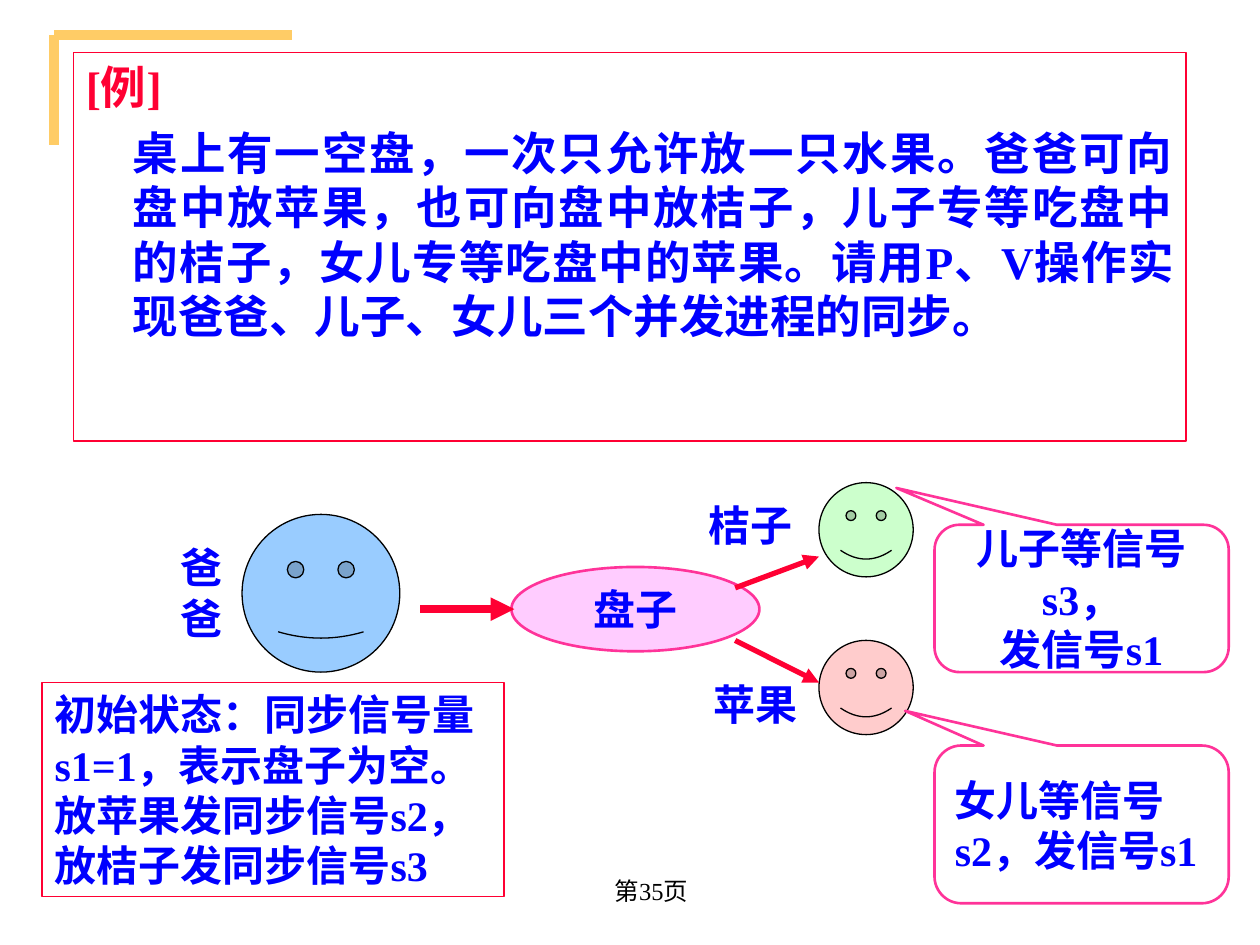
from dataclasses import dataclass
from typing import Optional

from lxml.etree import SubElement
from pptx import Presentation
from pptx.dml.color import RGBColor
from pptx.enum.lang import MSO_LANGUAGE_ID
from pptx.enum.shapes import MSO_CONNECTOR, MSO_SHAPE
from pptx.enum.text import MSO_ANCHOR, PP_ALIGN
from pptx.oxml.ns import qn
from pptx.util import Cm, Pt


@dataclass(frozen=True)
class Theme:
    font: str = "Times New Roman"
    blue: str = "0000FF"
    red: str = "FF0033"
    pink: str = "FF3399"
    plate: str = "FFCCFF"
    gold: str = "FFCC66"
    black: str = "000000"
    white: str = "FFFFFF"
    father: str = "99CCFF"
    son: str = "CCFFCC"
    daughter: str = "FFCCCC"
    problem: float = 26
    label: float = 24
    footer: float = 14


T = Theme()


@dataclass(frozen=True)
class Para:
    text: str
    color: str = T.blue
    size: float = T.label
    bold: bool = True
    align: PP_ALIGN = PP_ALIGN.CENTER
    indent: float = 0
    before: float = 0


@dataclass(frozen=True)
class Box:
    at: tuple[float, float, float, float]
    paras: tuple[Para, ...] = ()
    kind: Optional[MSO_SHAPE] = None
    fill: Optional[str] = None
    line: str = T.black
    width: float = 0.75
    adj: tuple[float, ...] = ()
    anchor: MSO_ANCHOR = MSO_ANCHOR.TOP
    wrap: bool = True


@dataclass(frozen=True)
class Line:
    start: tuple[float, float]
    end: tuple[float, float]
    color: str
    width: float
    arrow: bool = False


def write(sp, box: Box) -> None:
    tf = sp.text_frame
    tf.word_wrap = box.wrap
    tf.vertical_anchor = box.anchor
    for i, para in enumerate(box.paras):
        p = tf.paragraphs[0] if i == 0 else tf.add_paragraph()
        p.alignment = para.align
        if para.before:
            p.space_before = Pt(para.before)
        if para.indent:
            p._p.get_or_add_pPr().set("marL", str(Cm(para.indent)))
        r = p.add_run()
        r.text = para.text
        r.font.name = T.font
        r.font.size = Pt(para.size)
        r.font.bold = para.bold
        r.font.color.rgb = RGBColor.from_string(para.color)
        r.font.language_id = MSO_LANGUAGE_ID.SIMPLIFIED_CHINESE


def draw_box(s, box: Box) -> None:
    at = [Cm(v) for v in box.at]
    if box.kind is None:
        sp = s.shapes.add_textbox(*at)
    else:
        sp = s.shapes.add_shape(box.kind, *at)
        sp.shadow.inherit = False
        if box.fill:
            sp.fill.solid()
            sp.fill.fore_color.rgb = RGBColor.from_string(box.fill)
        else:
            sp.fill.background()
        sp.line.color.rgb = RGBColor.from_string(box.line)
        sp.line.width = Pt(box.width)
        for i, value in enumerate(box.adj):
            sp.adjustments[i] = value
    if box.paras:
        write(sp, box)


def draw_line(s, line: Line) -> None:
    ends = [Cm(v) for v in (*line.start, *line.end)]
    c = s.shapes.add_connector(MSO_CONNECTOR.STRAIGHT, *ends)
    c.line.color.rgb = RGBColor.from_string(line.color)
    c.line.width = Pt(line.width)
    if line.arrow:
        SubElement(c.line._get_or_add_ln(), qn("a:tailEnd"), type="triangle")
    SubElement(c._element.spPr, qn("a:effectLst"))


def label(text: str, *at: float) -> Box:
    return Box(at, (Para(text),))


def face(x: float, y: float, size: float, fill: str, smile: float) -> Box:
    return Box((x, y, size, size), kind=MSO_SHAPE.SMILEY_FACE, fill=fill, adj=(smile,))


def callout(y: float, height: float, tip: tuple[float, float], *paras: Para) -> Box:
    return Box((18.84, y, 5.93, height), paras, MSO_SHAPE.ROUNDED_RECTANGULAR_CALLOUT,
               T.white, T.pink, 1.5, (*tip, 0.17), MSO_ANCHOR.MIDDLE)


def arrow(start: tuple[float, float], end: tuple[float, float], width: float = 3) -> Line:
    return Line(start, end, T.red, width, True)


CORNER = (1.09, 0.71)
PROBLEM = (
    Para("[例]", T.red, T.problem, align=PP_ALIGN.JUSTIFY),
    Para("桌上有一空盘，一次只允许放一只水果。爸爸可向盘中放苹果，也可向盘中放桔子，"
         "儿子专等吃盘中的桔子，女儿专等吃盘中的苹果。请用P、V操作实现爸爸、儿子、"
         "女儿三个并发进程的同步。",
         size=T.problem, align=PP_ALIGN.JUSTIFY, indent=0.95, before=6.5),
)
INITIAL = Para("初始状态：同步信号量s1=1，表示盘子为空。放苹果发同步信号s2，放桔子发同步信号s3",
               align=PP_ALIGN.LEFT)

ITEMS = (
    Line(CORNER, (5.89, CORNER[1]), T.gold, 6),
    Line(CORNER, (CORNER[0], 2.92), T.gold, 6),
    Box((10.49, 17.32, 5.28, 1.27), (Para("第35页", T.black, T.footer, False),),
        anchor=MSO_ANCHOR.MIDDLE),
    Box((1.48, 1.06, 22.43, 7.83), PROBLEM, MSO_SHAPE.RECTANGLE, line=T.red),
    Box((10.31, 11.43, 5, 1.7), (Para("盘子"),), MSO_SHAPE.OVAL, T.plate, T.pink, 1.5,
        anchor=MSO_ANCHOR.MIDDLE, wrap=False),
    face(4.88, 10.37, 3.18, T.father, 0.02),
    face(16.51, 9.73, 1.9, T.son, 0.09),
    face(16.51, 12.91, 1.9, T.daughter, 0.09),
    arrow((8.47, 12.28), (10.37, 12.28), 4.5),
    arrow((14.82, 11.85), (16.51, 11.22)),
    arrow((14.82, 12.91), (16.51, 13.76)),
    label("爸爸", 3.39, 10.8, 1.27, 2.28),
    Box((0.85, 13.76, 9.31, 4.32), (INITIAL,), MSO_SHAPE.RECTANGLE, T.white, T.red),
    callout(10.58, 2.97, (-0.63, -0.75), Para("儿子等信号s3，"), Para("发信号s1")),
    callout(15.03, 3.18, (-0.6, -0.72),
            Para("女儿等信号s2，发信号s1", align=PP_ALIGN.LEFT)),
    label("苹果", 13.97, 13.55, 2.54, 1.27),
    label("桔子", 13.97, 9.95, 2.33, 1.27),
)


def main() -> None:
    prs = Presentation()
    prs.slide_width, prs.slide_height = Cm(25.4), Cm(19.05)
    s = prs.slides.add_slide(prs.slide_layouts[6])
    for item in ITEMS:
        if isinstance(item, Line):
            draw_line(s, item)
        else:
            draw_box(s, item)
    prs.save("out.pptx")


if __name__ == "__main__":
    main()
